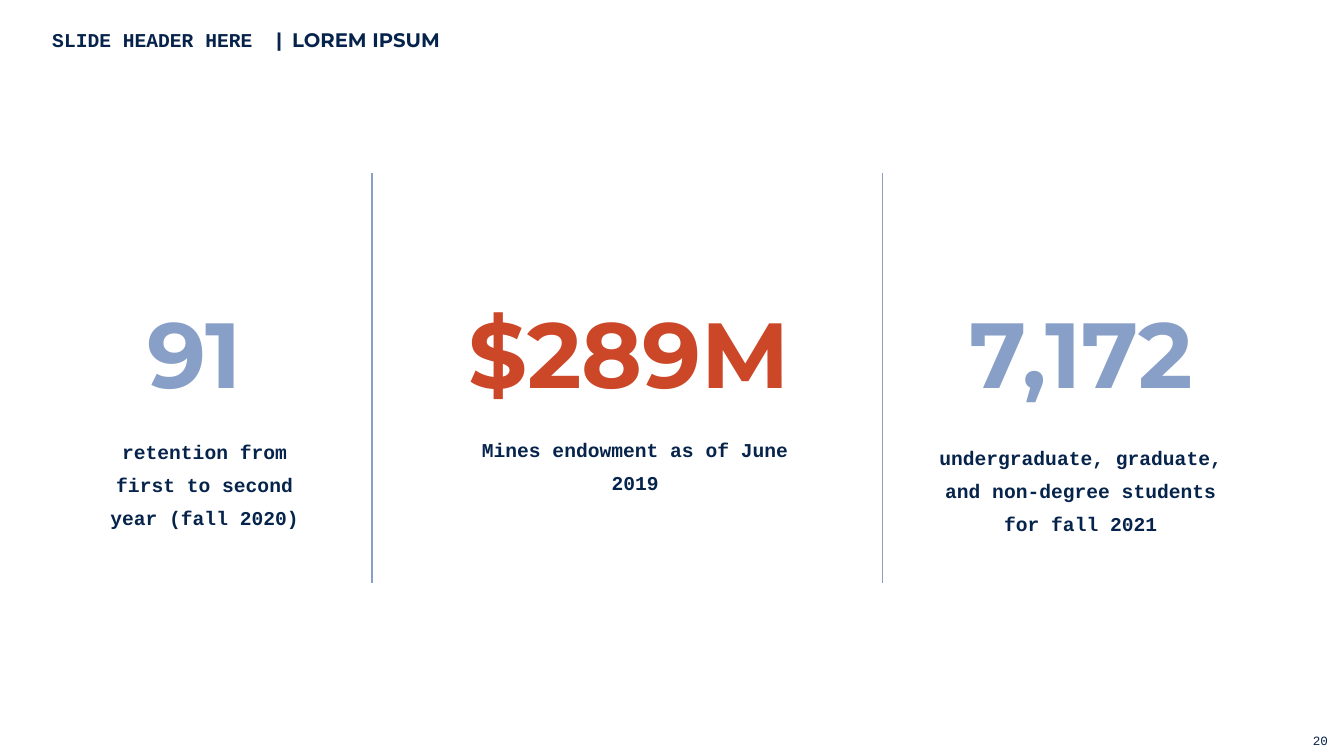
import pptx
import pptx.dml.color
import pptx.enum.shapes
import pptx.enum.text
import pptx.oxml.ns
import pptx.util
from dataclasses import dataclass
from lxml import etree

PX = 9144  # EMU per px, 100 px to the inch
ALIGN = pptx.enum.text.PP_ALIGN


@dataclass(frozen=True)
class Theme:
    navy: str = "06234B"
    blue: str = "889FC7"
    red: str = "CC4628"
    mono: str = "Courier New"
    display: str = "Montserrat"
    figure_size: int = 66
    body_size: int = 14
    page_size: int = 9


THEME = Theme()


def px(n):
    return pptx.util.Emu(n * PX)


def rgb(value):
    return pptx.dml.color.RGBColor.from_string(value)


def add_text(s, box, runs, size, color, bold=True, align=None, spacing=None):
    """Add a one-paragraph text box; runs are (text, font) pairs."""
    sp = s.shapes.add_textbox(*map(px, box))
    tf = sp.text_frame
    tf.word_wrap = True
    p = tf.paragraphs[0]
    p.alignment = align
    p.line_spacing = spacing
    for text, font in runs:
        r = p.add_run()
        r.text = text
        r.font.name = font
        r.font.size = pptx.util.Pt(size)
        r.font.bold = bold
        r.font.color.rgb = rgb(color)
    return p


def add_header(s, box):
    p = add_text(s, box, [("SLIDE HEADER HERE\t", THEME.mono),
                          ("|\tLOREM IPSUM", THEME.display)],
                 THEME.body_size, THEME.navy)
    # Tab stops for the bar and the section name
    qn = pptx.oxml.ns.qn
    tabs = etree.SubElement(p._p.get_or_add_pPr(), qn("a:tabLst"))
    for stop in (222, 238):
        etree.SubElement(tabs, qn("a:tab"), pos=str(px(stop)), algn="l")


def add_divider(s, x, top, bottom):
    line = s.shapes.add_connector(pptx.enum.shapes.MSO_CONNECTOR.STRAIGHT,
                                  px(x), px(bottom), px(x), px(top))
    line.line.color.rgb = rgb(THEME.blue)
    line.line.width = pptx.util.Pt(1)
    etree.SubElement(line._element.spPr, pptx.oxml.ns.qn("a:effectLst"))


def add_stat(s, box, figure, color, caption, caption_box):
    """Place a large figure in box; caption_box is offset from its corner."""
    left, top, _, _ = box
    dx, dy, width, height = caption_box
    add_text(s, box, [(figure, THEME.display)], THEME.figure_size, color,
             align=ALIGN.CENTER, spacing=0.9)
    add_text(s, (left + dx, top + dy, width, height), [(caption, THEME.mono)],
             THEME.body_size, THEME.navy, align=ALIGN.CENTER, spacing=1.4)


def add_stats(s, left, top, height):
    # Dividers between the three columns
    for x in (369, 875):
        add_divider(s, left + x, top, top + height)
    # Column offset, figure width, figure, colour, caption, caption offset
    stats = [
        (64, 258, "91", THEME.blue,
         "retention from first to second year (fall 2020)", (23, 121, 232, 54)),
        (391, 466, "$289M", THEME.red,
         "Mines endowment as of June 2019", (73, 119, 332, 33)),
        (894, 357, "7,172", THEME.blue,
         "undergraduate, graduate, and non-degree students for fall 2021",
         (15, 127, 326, 150)),
    ]
    for x, width, figure, color, caption, caption_box in stats:
        add_stat(s, (left + x, top + 129, width, 149), figure, color,
                 caption, caption_box)


def add_page_number(s, box):
    add_text(s, box, [("20", THEME.mono)], THEME.page_size, THEME.navy,
             bold=False, align=ALIGN.RIGHT)


def main():
    prs = pptx.Presentation()
    prs.slide_width, prs.slide_height = px(1333), px(750)
    s = prs.slides.add_slide(prs.slide_layouts[6])
    add_page_number(s, (1027, 722, 300, 20))
    add_stats(s, 0, 172, 406)
    add_header(s, (42, 23, 540, 34))
    prs.save("out.pptx")


if __name__ == "__main__":
    main()
